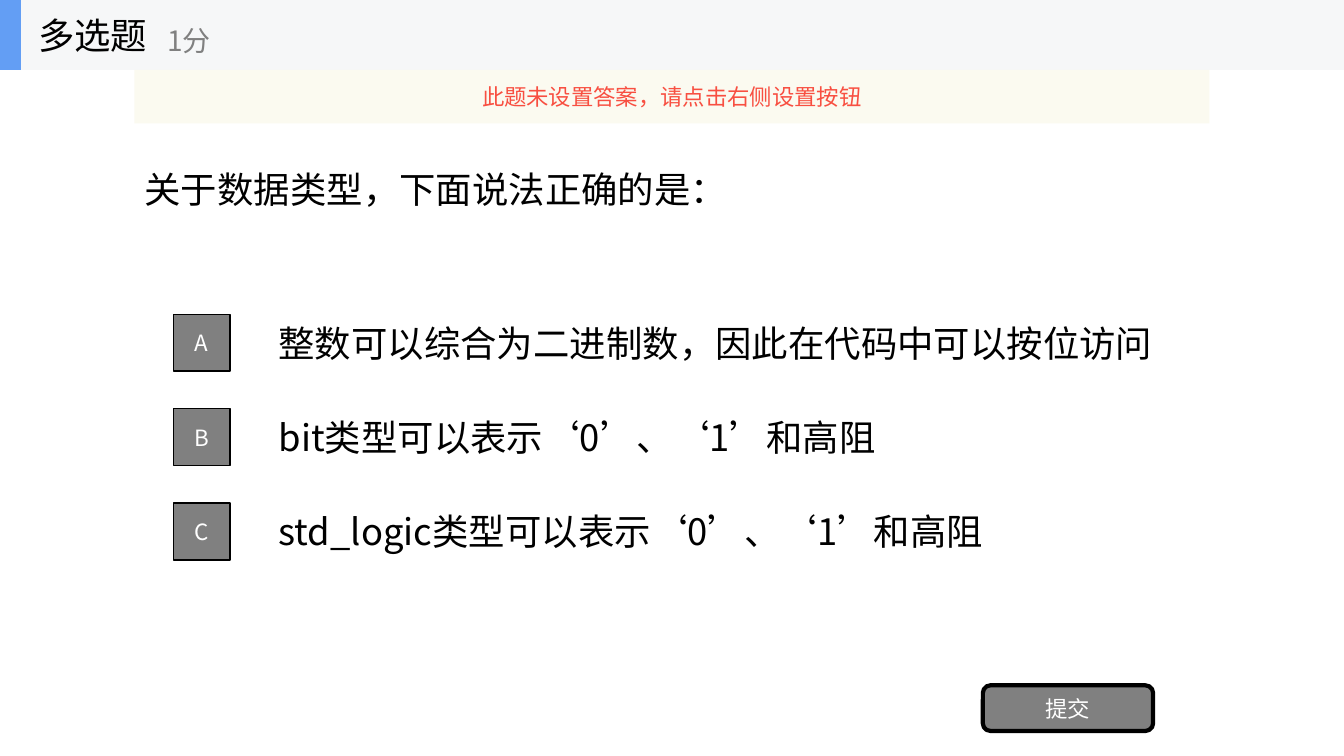
from lxml import etree
from pptx import Presentation, util as u
from pptx.dml.color import RGBColor
from pptx.enum import shapes, text
from pptx.oxml.ns import qn

FONT = "Noto Sans CJK SC"
BLACK, GRAY, WHITE = "000000", "808080", "FFFFFF"


def color(hex_value):
    return RGBColor.from_string(hex_value)


def write(shape, words, size=26, ink=BLACK, centered=False):
    """Put one formatted line of text in a shape."""
    frame = shape.text_frame
    frame.word_wrap = True
    frame.auto_size = text.MSO_AUTO_SIZE.NONE
    frame.vertical_anchor = text.MSO_ANCHOR.MIDDLE
    paragraph = frame.paragraphs[0]
    paragraph.alignment = text.PP_ALIGN.CENTER if centered else text.PP_ALIGN.LEFT
    run = paragraph.add_run()
    run.text = words
    run.font.size = u.Pt(size)
    run.font.color.rgb = color(ink)
    run.font.name = FONT
    properties = run._r.get_or_add_rPr()
    properties.set("lang", "zh-CN")
    etree.SubElement(properties, qn("a:ea")).set("typeface", FONT)


class QuizSlide:
    def __init__(self, presentation):
        layout = presentation.slide_layouts[5]
        self.slide = presentation.slides.add_slide(layout)

    def title(self, box, words):
        shape = self.slide.shapes.title
        shape.left, shape.top, shape.width, shape.height = map(u.Cm, box)
        write(shape, words)

    def label(self, box, words, **style):
        write(self.slide.shapes.add_textbox(*map(u.Cm, box)), words, **style)

    def block(self, box, fill, line_width=0, rounded=False, opacity=100):
        kinds = shapes.MSO_SHAPE
        kind = kinds.ROUNDED_RECTANGLE if rounded else kinds.RECTANGLE
        shape = self.slide.shapes.add_shape(kind, *map(u.Cm, box))
        shape.shadow.inherit = False
        shape.fill.solid()
        shape.fill.fore_color.rgb = color(fill)
        if opacity < 100:
            tint = shape._element.spPr.find(".//" + qn("a:srgbClr"))
            etree.SubElement(tint, qn("a:alpha")).set("val", str(opacity * 1000))
        if line_width:
            shape.line.color.rgb = color(BLACK)
            shape.line.width = u.Pt(line_width)
        else:
            shape.line.fill.background()
        return shape

    def button(self, box, words, **look):
        shape = self.block(box, GRAY, **look)
        write(shape, words, size=16, ink=WHITE, centered=True)


def main():
    presentation = Presentation()
    presentation.slide_width = u.Cm(33.87)
    presentation.slide_height = u.Cm(19.05)
    quiz = QuizSlide(presentation)

    # Question
    quiz.title((3.39, 1.78, 27.09, 5.95), "关于数据类型，下面说法正确的是：")

    # Answer options, one per row
    options = {
        "A": "整数可以综合为二进制数，因此在代码中可以按位访问",
        "B": "bit类型可以表示‘0’、‘1’和高阻",
        "C": "std_logic类型可以表示‘0’、‘1’和高阻",
    }
    for row, (letter, answer) in enumerate(options.items()):
        top = 7.74 + row * 2.38
        quiz.label((6.77, top, 23.71, 1.78), answer)
        quiz.button((4.37, top + 0.18, 1.43, 1.43), letter, line_width=1)

    # Submit button
    quiz.button((24.77, 17.27, 4.29, 1.15), "提交", line_width=3, rounded=True)

    # Header with question type and score
    quiz.block((0, 0, 33.87, 1.76), "F6F7F8")
    quiz.block((0, 0, 0.53, 1.76), "639EF4")
    quiz.label((0.71, 0, 5.28, 1.76), "多选题")
    quiz.label((3.96, 0.31, 6.35, 1.43), "1分", size=20, ink=GRAY)

    # Warning banner
    banner = quiz.block((3.39, 1.76, 27.09, 1.35), "FBFAEF", opacity=90)
    write(banner, "此题未设置答案，请点击右侧设置按钮", size=16, ink="F84F41", centered=True)

    presentation.save("out.pptx")


if __name__ == "__main__":
    main()
